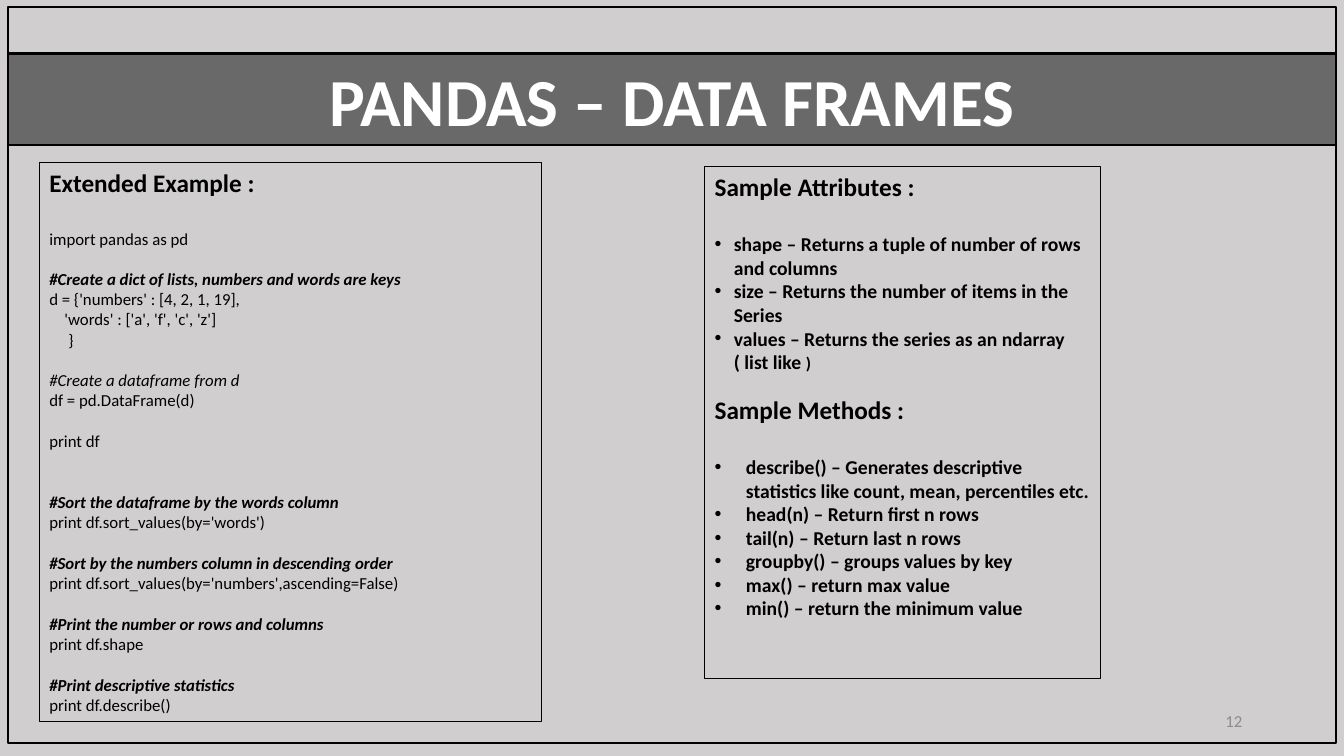
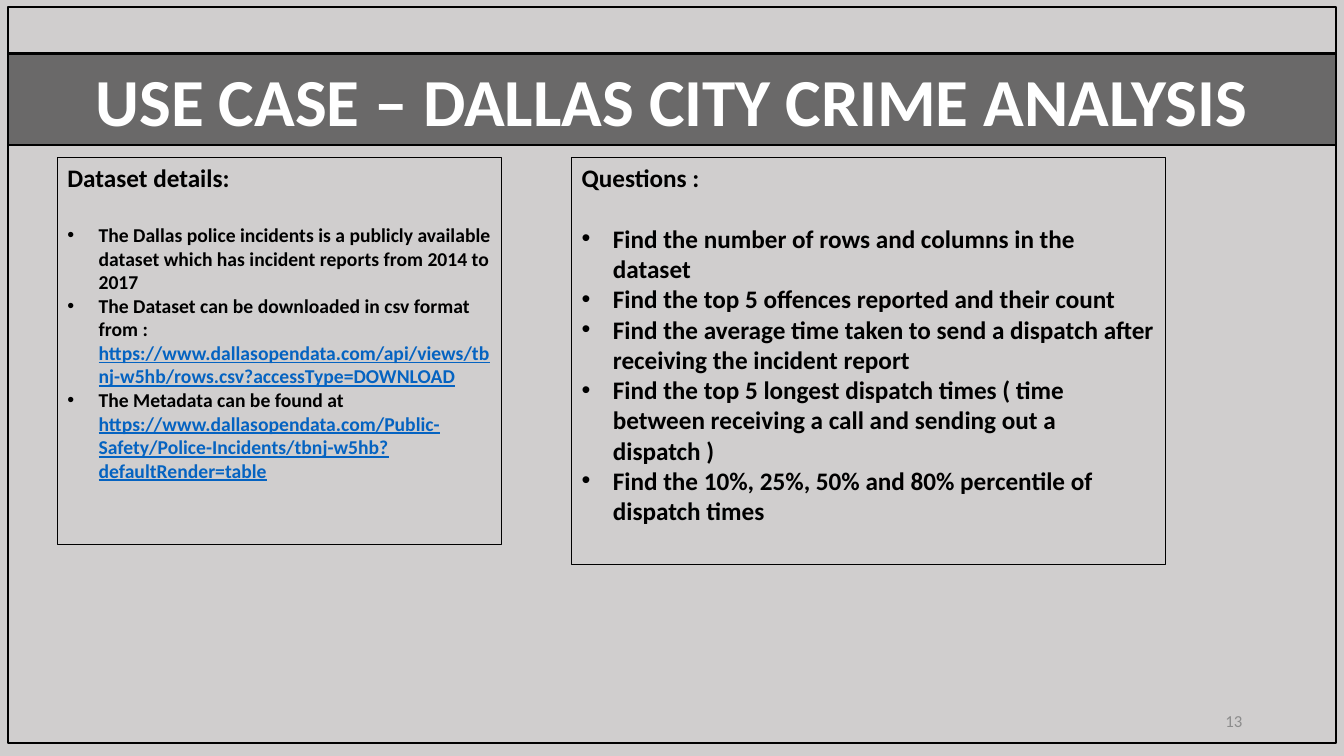
"""Build two slides on pandas data frames and a crime analysis use case."""
from dataclasses import dataclass

from lxml.etree import SubElement
from pptx import Presentation
from pptx.dml.color import RGBColor
from pptx.enum.shapes import MSO_SHAPE
from pptx.enum.text import MSO_ANCHOR, MSO_AUTO_SIZE, PP_ALIGN
from pptx.oxml.ns import qn
from pptx.util import Inches, Pt

BACKGROUND = RGBColor(0xD0, 0xCE, 0xCE)
BLACK = RGBColor(0, 0, 0)
WHITE = RGBColor(255, 255, 255)
NUMBER_GREY = RGBColor(0x8C, 0x8C, 0x8C)
LINK_BLUE = RGBColor(0x05, 0x63, 0xC1)
FONT = "Calibri"
BAND_OPACITY = 49000
LINE_HEIGHT = 1.22
CODE_GAP = 12 * LINE_HEIGHT
HEADING_GAP = 18 * LINE_HEIGHT


@dataclass
class Line:
    text: str
    size: int = 14
    bold: bool = True
    italic: bool = False
    before: float = 0
    after: float = 0
    margin: float = 0
    bullet: bool = False
    tail: str = ""
    tail_size: int = 14


def heading(text, before=0):
    return Line(text, size=18, before=before, after=HEADING_GAP)


def style_run(run, size, colour, bold=False, italic=False):
    font = run.font
    font.name, font.size, font.bold, font.italic = FONT, Pt(size), bold, italic
    font.color.rgb = colour


code = {"size": 12, "bold": False}
comment = {"size": 12, "italic": True, "before": CODE_GAP}
narrow_bullet = {"margin": 0.19, "bullet": True}
wide_bullet = {"margin": 0.31, "bullet": True}
question = {"size": 18, **wide_bullet}

example_lines = [
    heading("Extended Example :"),
    Line("import pandas as pd", **code),
    Line("#Create a dict of lists, numbers and words are keys", **comment),
    Line("d = {'numbers' : [4, 2, 1, 19],", **code),
    Line("'words' : ['a', 'f', 'c', 'z']", margin=0.15, **code),
    Line("}", margin=0.19, **code),
    Line("#Create a dataframe from d", bold=False, **comment),
    Line("df = pd.DataFrame(d)", **code),
    Line("print df", before=CODE_GAP, after=CODE_GAP, **code),
    Line("#Sort the dataframe by the words column", **comment),
    Line("print df.sort_values(by='words')", **code),
    Line("#Sort by the numbers column in descending order", **comment),
    Line("print df.sort_values(by='numbers',ascending=False)", **code),
    Line("#Print the number or rows and columns", **comment),
    Line("print df.shape", **code),
    Line("#Print descriptive statistics", **comment),
    Line("print df.describe()", **code),
]
reference_lines = [
    heading("Sample Attributes :"),
    Line("shape – Returns a tuple of number of rows and columns", **narrow_bullet),
    Line("size – Returns the number of items in the Series", **narrow_bullet),
    Line("values – Returns the series as an ndarray ( list like ",
         tail=")", tail_size=12, **narrow_bullet),
    heading("Sample Methods :", before=CODE_GAP),
    Line("describe() – Generates descriptive statistics like count, mean, "
         "percentiles etc.", **wide_bullet),
    Line("head(n) – Return first n rows", **wide_bullet),
    Line("tail(n) – Return last n rows", **wide_bullet),
    Line("groupby() – groups values by key", **wide_bullet),
    Line("max() – return max value", **wide_bullet),
    Line("min() – return the minimum value", **wide_bullet),
]
dataset_lines = [
    heading("Dataset details:"),
    Line("The Dallas police incidents is a publicly available dataset which has "
         "incident reports from 2014 to 2017", **wide_bullet),
    Line("The Dataset can be downloaded in csv format from : ",
         tail="https://www.dallasopendata.com/api/views/tbnj-w5hb/rows.csv"
              "?accessType=DOWNLOAD", **wide_bullet),
    Line("The Metadata can be found at ",
         tail="https://www.dallasopendata.com/Public-Safety/Police-Incidents/"
              "tbnj-w5hb?defaultRender=table", **wide_bullet),
]
question_lines = [
    heading("Questions :"),
    Line("Find the number of rows and columns in the dataset", **question),
    Line("Find the top 5 offences reported and their count", **question),
    Line("Find the average time taken to send a dispatch after receiving the "
         "incident report", **question),
    Line("Find the top 5 longest dispatch times ( time between receiving a call "
         "and sending out a dispatch )", **question),
    Line("Find the 10%, 25%, 50% and 80% percentile of dispatch times", **question),
]
slides = [
    ("PANDAS – DATA FRAMES", 12, [
        ((0.39, 1.61, 4.98, 5.55), example_lines),
        ((6.99, 1.65, 3.93, 5.08), reference_lines),
    ]),
    ("USE CASE – DALLAS CITY CRIME ANALYSIS", 13, [
        ((0.57, 1.56, 4.4, 3.84), dataset_lines),
        ((5.67, 1.56, 5.89, 4.04), question_lines),
    ]),
]

presentation = Presentation()
presentation.slide_width = Inches(13.33)
presentation.slide_height = Inches(7.5)
background_fill = presentation.slide_master.background.fill
background_fill.solid()
background_fill.fore_color.rgb = BACKGROUND

for title_text, number, panels in slides:
    slide = presentation.slides.add_slide(presentation.slide_layouts[5])

    title = slide.shapes.title
    title.left, title.top = Inches(0.08), Inches(0.53)
    title.width, title.height = Inches(13.17), Inches(0.91)
    title.fill.solid()
    title.fill.fore_color.rgb = BLACK
    band_colour = title.fill._xPr.find(qn("a:solidFill"))[0]
    SubElement(band_colour, qn("a:alpha"), val=str(BAND_OPACITY))
    title.line.color.rgb = BLACK
    title.line.width = Pt(1.75)
    title_frame = title.text_frame
    title_frame.text = title_text
    title_frame.auto_size = MSO_AUTO_SIZE.NONE
    title_frame.vertical_anchor = MSO_ANCHOR.MIDDLE
    title_frame.paragraphs[0].alignment = PP_ALIGN.CENTER
    style_run(title_frame.paragraphs[0].runs[0], 48, WHITE, bold=True)

    frame_and_panels = [((0.08, 0.07, 13.17, 7.3), [], 1.75)]
    frame_and_panels += [(box, lines, 0.75) for box, lines in panels]
    for box, lines, line_width in frame_and_panels:
        shape = slide.shapes.add_shape(MSO_SHAPE.RECTANGLE, *map(Inches, box))
        shape.shadow.inherit = False
        shape.fill.background()
        shape.line.color.rgb = BLACK
        shape.line.width = Pt(line_width)
        text_frame = shape.text_frame
        text_frame.word_wrap = True
        text_frame.vertical_anchor = MSO_ANCHOR.TOP
        for index, line in enumerate(lines):
            paragraph = text_frame.add_paragraph() if index else text_frame.paragraphs[0]
            paragraph.text = line.text
            paragraph.alignment = PP_ALIGN.LEFT
            paragraph.space_before = Pt(line.before)
            paragraph.space_after = Pt(line.after)
            style_run(paragraph.runs[0], line.size, BLACK, line.bold, line.italic)
            properties = paragraph._p.get_or_add_pPr()
            properties.set("marL", str(Inches(line.margin)))
            if line.bullet:
                properties.set("indent", str(-Inches(line.margin)))
                SubElement(properties, qn("a:buFont"), typeface="Arial")
                SubElement(properties, qn("a:buChar"), char="•")
            if line.tail:
                is_link = line.tail.startswith("https")
                run = paragraph.add_run()
                run.text = line.tail
                style_run(run, line.tail_size, LINK_BLUE if is_link else BLACK, line.bold)
                run.font.underline = is_link

    number_box = slide.shapes.add_textbox(Inches(9.42), Inches(6.95), Inches(3), Inches(0.4))
    number_frame = number_box.text_frame
    number_frame.text = str(number)
    number_frame.word_wrap = True
    number_frame.vertical_anchor = MSO_ANCHOR.MIDDLE
    number_frame.paragraphs[0].alignment = PP_ALIGN.RIGHT
    style_run(number_frame.paragraphs[0].runs[0], 12, NUMBER_GREY)

presentation.save("out.pptx")
